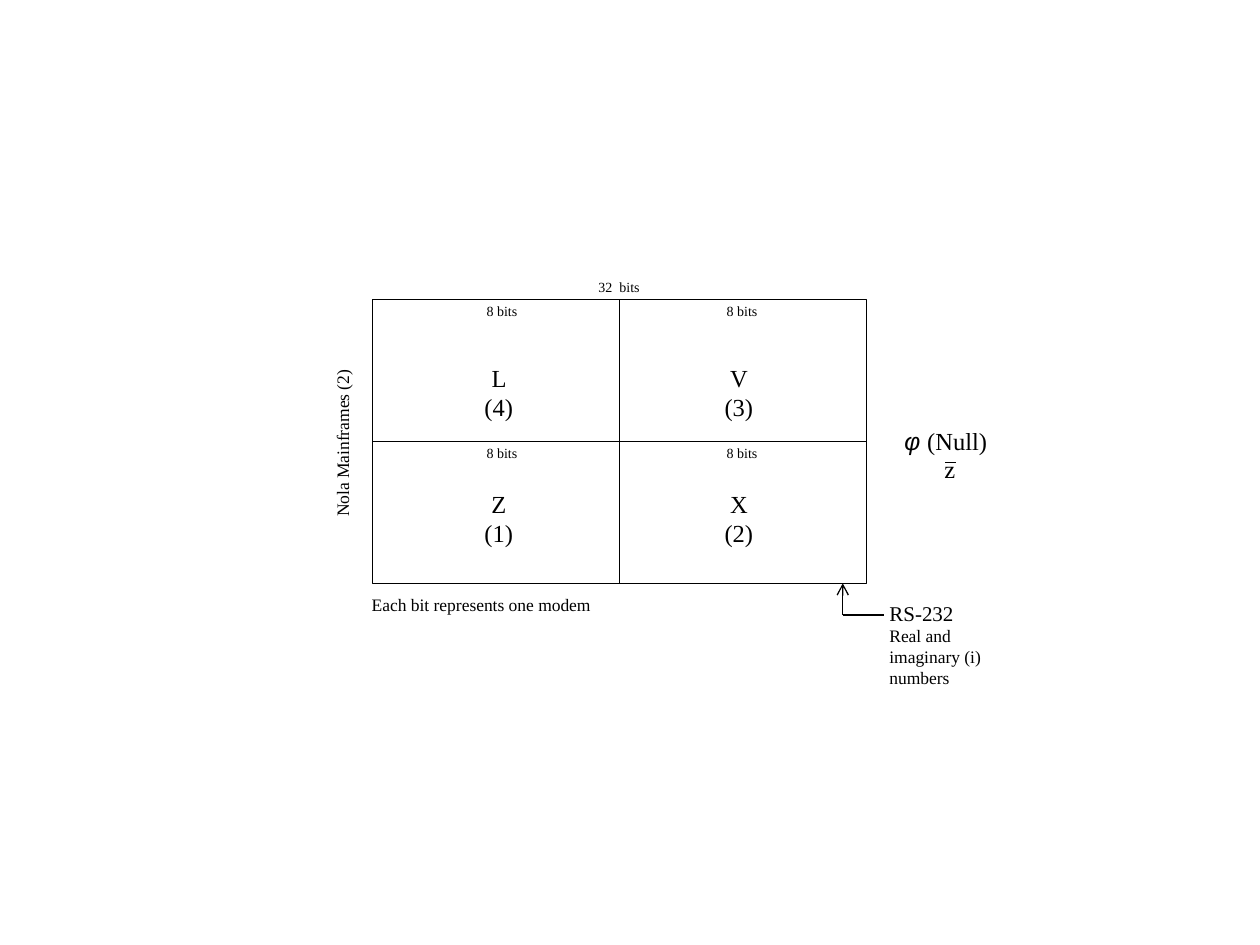
import pptx
import pptx.util
import pptx.dml.color
import pptx.enum.shapes
import pptx.enum.text
import pptx.oxml
import pptx.oxml.ns
from pptx.util import Cm

COLOURS = {"ink": "000000"}
SERIF, SANS = "Times New Roman", "Arial"
CENTRE = pptx.enum.text.PP_ALIGN.CENTER
LEFT = pptx.enum.text.PP_ALIGN.LEFT
INK = pptx.dml.color.RGBColor.from_string(COLOURS["ink"])

# Content: quadrants by row, then single labels
quadrants = [["L (4)", "V (3)"], ["Z (1)", "X (2)"]]
quadrant_size = "8 bits"

# text, left, top, width, height (cm), points, alignment, rotation
labels = [
    ("32  bits", 11.63, 5.49, 1.7, 0.61, 8, CENTRE, 0),
    ("Nola Mainframes (2)", 4.9, 8.59, 4.01, 0.69, 10, CENTRE, 270),
    ("Each bit represents one modem", 7.16, 11.86, 5.08, 0.69, 10, CENTRE, 0),
    ("RS-232", 17.68, 11.99, 2.11, 0.76, 12, LEFT, 0),
    ("Real and imaginary (i) numbers", 17.68, 12.47, 2.87, 1.52, 10, LEFT, 0),
    ("z", 17.98, 9.02, 2.34, 0.86, 14, CENTRE, 0),
]
null_runs = [("φ ", SANS, True), ("(Null)", SERIF, False)]

# Layout in cm
frame_left, frame_top, frame_width, frame_height = 7.51, 6.04, 9.96, 5.72
frame_bottom = frame_top + frame_height
column_pitch = 4.84
name_left, name_top, name_pitch = 9.32, 7.19, 2.54
bits_left, bits_top, bits_pitch = 9.27, 5.97, frame_height / 2
port_x, port_y, port_end = 16.99, 12.4, 17.83

prs = pptx.Presentation()
prs.slide_width, prs.slide_height = Cm(25.4), Cm(19.05)
slide = prs.slides.add_slide(prs.slide_layouts[6])


def add_label(text, left, top, width, height, points, align=CENTRE, rotation=0):
    label = slide.shapes.add_textbox(Cm(left), Cm(top), Cm(width), Cm(height))
    label.rotation = rotation
    label.text_frame.word_wrap = True
    paragraph = label.text_frame.paragraphs[0]
    paragraph.text = text
    paragraph.alignment = align
    paragraph.font.size = pptx.util.Pt(points)
    paragraph.font.name = SERIF
    paragraph.font.color.rgb = INK
    return paragraph


def add_line(x1, y1, x2, y2):
    line = slide.shapes.add_connector(
        pptx.enum.shapes.MSO_CONNECTOR.STRAIGHT, Cm(x1), Cm(y1), Cm(x2), Cm(y2))
    line.line.color.rgb = INK
    line.line.width = pptx.util.Pt(0.75)
    properties = line._element.spPr
    properties.append(properties.makeelement(pptx.oxml.ns.qn("a:effectLst"), {}))
    return line


# Frame and its two dividers
frame = slide.shapes.add_shape(
    pptx.enum.shapes.MSO_SHAPE.RECTANGLE,
    Cm(frame_left), Cm(frame_top), Cm(frame_width), Cm(frame_height))
frame.shadow.inherit = False
frame.fill.background()
frame.line.color.rgb = INK
frame.line.width = pptx.util.Pt(0.75)
for start_side, end_side in [(0, 2), (1, 3)]:
    divider = add_line(0, 0, 1, 1)
    divider.begin_connect(frame, start_side)
    divider.end_connect(frame, end_side)

# Quadrant names and sizes
for row, names in enumerate(quadrants):
    for column, name in enumerate(names):
        shift = column * column_pitch
        add_label(name, name_left + shift, name_top + row * name_pitch,
                  1.47, 1.45, 14)
        add_label(quadrant_size, bits_left + shift, bits_top + row * bits_pitch,
                  1.7, 0.61, 8)

# Labels around the frame
for label in labels:
    add_label(*label)

# Null symbol, with the bar over z
null = add_label("", 17.98, 8.46, 2.34, 0.86, 14, LEFT)
for text, font, italic in null_runs:
    run = null.add_run()
    run.text = text
    run.font.name = font
    run.font.italic = italic
add_line(19.05, 9.32, 19.28, 9.32)

# Port arrow from RS-232 up to the frame
add_line(port_x, port_y, port_end, port_y)
arrow = add_line(port_x, port_y, port_x, frame_bottom)
outline = arrow.line._get_or_add_ln()
outline.append(outline.makeelement(pptx.oxml.ns.qn("a:tailEnd"), {"type": "arrow"}))

prs.save("out.pptx")
